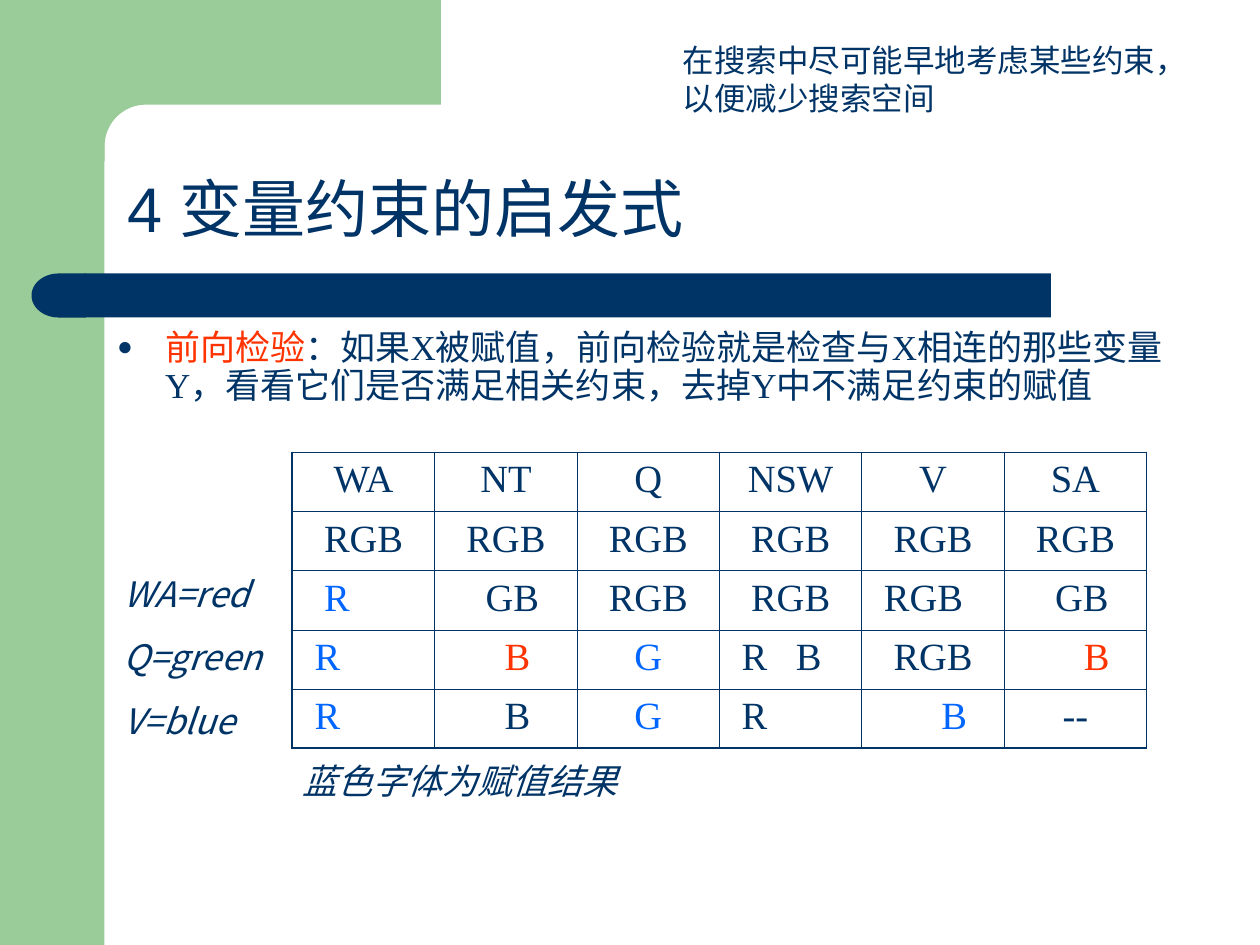
from math import cos, pi, sin

from lxml.etree import SubElement
from pptx import Presentation
from pptx.dml.color import RGBColor
from pptx.enum.shapes import MSO_SHAPE as Shape
from pptx.enum.text import MSO_ANCHOR as Anchor, MSO_AUTO_SIZE as AutoSize, PP_ALIGN as Align
from pptx.oxml.ns import qn
from pptx.util import Inches, Pt

NAVY, GREEN, RED, BLUE = "003366", "99CC99", "FF3300", "0066FF"
SANS, SERIF, CJK = "Arial", "Times New Roman", "Noto Sans CJK KR"

TITLE = [("4 ", SANS, NAVY), ("变量约束的启发式", SERIF, NAVY)]
BODY = [
    ("前向检验", SANS, RED),
    ("：如果", SANS, NAVY),
    ("X被赋值，前向检验就是检查与X相连的那些变量Y，看看它们是否满足相关约束，去掉Y中不满足约束的赋值", SERIF, NAVY),
]
AIM = ["在搜索中尽可能早地考虑某些约束，", "以便减少搜索空间"]
ASSIGNMENTS = ["WA=red", "Q=green", "V=blue"]
CAPTION = ["蓝色字体为赋值结果"]

CENTRED = None
ALL = ("RGB", CENTRED, NAVY)
DOMAINS = [
    [(name, CENTRED, NAVY) for name in ("WA", "NT", "Q", "NSW", "V", "SA")],
    [ALL] * 6,
    [("R", 2, BLUE), ("GB", 4, NAVY), ALL, ALL, ("RGB", 1, NAVY), ("GB", 4, NAVY)],
    [("R", 1, BLUE), ("B", 6, RED), ("G", CENTRED, BLUE), ("R\tB", 1, NAVY), ALL, ("B", 7, RED)],
    [("R", 1, BLUE), ("B", 6, NAVY), ("G", CENTRED, BLUE), ("R", 1, NAVY), ("B", 7, BLUE), ("--", CENTRED, NAVY)],
]
COLUMN, ROW, STEP, TAB = 1.13, 0.47, 0.076, 0.43

BANDS = [
    (Shape.RECTANGLE, (0, 0, 0.83, 7.5), GREEN, 0),
    (Shape.RECTANGLE, (0.67, 2.17, 7.67, 0.35), NAVY, 0),
    (Shape.FLOWCHART_DELAY, (0.25, 2.17, 0.43, 0.35), NAVY, 180),
]
NOTES = [
    (ASSIGNMENTS, (0.98, 4.54, 1.18, 1.35), dict(size=20, italic=True), CJK, 12.5, (0, 0), True),
    (CAPTION, (2.4, 6.03, 4.57, 0.33), dict(size=20, italic=True), CJK, 0, (0, 0), True),
    (AIM, (5.32, 0.28, 4.2, 0.7), dict(size=18), SANS, 0, (0.1, 0.05), False),
]


def colour(value):
    """Turn a hex string into a colour."""
    return RGBColor.from_string(value)


def paint(shape, fill):
    """Give a shape a plain fill without line or shadow."""
    shape.fill.solid()
    shape.fill.fore_color.rgb = colour(fill)
    shape.line.fill.background()
    shape.shadow.inherit = False


def place(shape, bounds):
    """Move a shape to its bounds in inches."""
    for name, value in zip(("left", "top", "width", "height"), bounds):
        setattr(shape, name, Inches(value))


def write(para, text, font, fill, size, **formats):
    """Add one formatted span to a paragraph."""
    span = para.add_run()
    span.text = text
    span.font.color.rgb = colour(fill)
    for name, value in dict(name=font, size=Pt(size), **formats).items():
        setattr(span.font, name, value)
    SubElement(span.font._element, qn("a:ea"), typeface=CJK)


def draw_corner(page):
    """Draw the top band with its rounded inner corner."""
    left, edge, radius, parts = 0.5, 0.83, 0.33, 12
    centre = edge + radius
    angles = [pi / 2 * part / parts for part in range(parts + 1)]
    arc = [(centre - radius * sin(turn), centre - radius * cos(turn)) for turn in angles]
    points = [(3.5, 0), (3.5, edge), *arc, (edge, 1.28), (left, 1.28)]
    builder = page.shapes.build_freeform(Inches(left), 0)
    builder.add_line_segments([(Inches(x), Inches(y)) for x, y in points], close=True)
    paint(builder.convert_to_shape(), GREEN)


def fill_placeholders(page):
    """Write the title and the bulleted definition."""
    title, body = page.placeholders
    place(title, (0.91, 0.91, 8.51, 1.09))
    place(body, (0.83, 2.57, 8.9, 2.84))
    for box, spans, size, anchor in ((title, TITLE, 36, Anchor.BOTTOM), (body, BODY, 20, Anchor.TOP)):
        frame = box.text_frame
        frame.auto_size, frame.vertical_anchor = AutoSize.NONE, anchor
        para = frame.paragraphs[0]
        para.alignment, para.line_spacing, para.space_before = Align.LEFT, 0.9, Pt(0)
        for text, font, fill in spans:
            write(para, text, font, fill, size)
    props = body.text_frame.paragraphs[0]._p.get_or_add_pPr()
    props.set("marL", str(Inches(0.38)))
    props.set("indent", str(-Inches(0.38)))
    SubElement(SubElement(props, qn("a:buClr")), qn("a:srgbClr"), val=NAVY)
    SubElement(props, qn("a:buSzPct"), val="75000")
    SubElement(props, qn("a:buFont"), typeface=SANS)
    SubElement(props, qn("a:buChar"), char="●")


def border(cell, outer):
    """Line the four sides of a cell, heavier on the outer ones."""
    props = cell._tc.get_or_add_tcPr()
    for side, heavy in zip("LRTB", outer):
        line = SubElement(props, qn(f"a:ln{side}"), w=str(Pt(1.08 if heavy else 0.45)))
        SubElement(SubElement(line, qn("a:solidFill")), qn("a:srgbClr"), val=NAVY)


def draw_table(page):
    """Draw the remaining domain of each variable after each step."""
    rows, columns = len(DOMAINS), len(DOMAINS[0])
    bounds = (2.32, 3.59, COLUMN * columns, ROW * rows)
    table = page.shapes.add_table(rows, columns, *map(Inches, bounds)).table
    table.first_row = table.horz_banding = False
    for i, domains in enumerate(DOMAINS):
        for j, (text, steps, fill) in enumerate(domains):
            cell = table.cell(i, j)
            border(cell, (j == 0, j == columns - 1, i == 0, i == rows - 1))
            cell.fill.background()
            cell.margin_left = Inches(0.1 + STEP * (steps or 0))
            para = cell.text_frame.paragraphs[0]
            para.alignment = Align.CENTER if steps is CENTRED else Align.LEFT
            if "\t" in text:
                tabs = SubElement(para._p.get_or_add_pPr(), qn("a:tabLst"))
                SubElement(tabs, qn("a:tab"), pos=str(Inches(TAB)), algn="l")
            write(para, text, SERIF, fill, 22)


def add_note(page, lines, bounds, formats, font, gap, margins, wrap):
    """Add a text box with one paragraph a line."""
    frame = page.shapes.add_textbox(*map(Inches, bounds)).text_frame
    frame.word_wrap = wrap
    frame.margin_left = frame.margin_right = Inches(margins[0])
    frame.margin_top = frame.margin_bottom = Inches(margins[1])
    for index, line in enumerate(lines):
        para = frame.add_paragraph() if index else frame.paragraphs[0]
        para.space_before = Pt(gap if index else 0)
        write(para, line, font, NAVY, **formats)


def main():
    """Build the slide and save it."""
    deck = Presentation()
    deck.slide_width, deck.slide_height = Inches(10), Inches(7.5)
    page = deck.slides.add_slide(deck.slide_layouts[1])
    for kind, bounds, fill, turn in BANDS:
        band = page.shapes.add_shape(kind, *map(Inches, bounds))
        band.rotation = turn
        paint(band, fill)
    draw_corner(page)
    fill_placeholders(page)
    draw_table(page)
    for note in NOTES:
        add_note(page, *note)
    deck.save("out.pptx")


if __name__ == "__main__":
    main()
